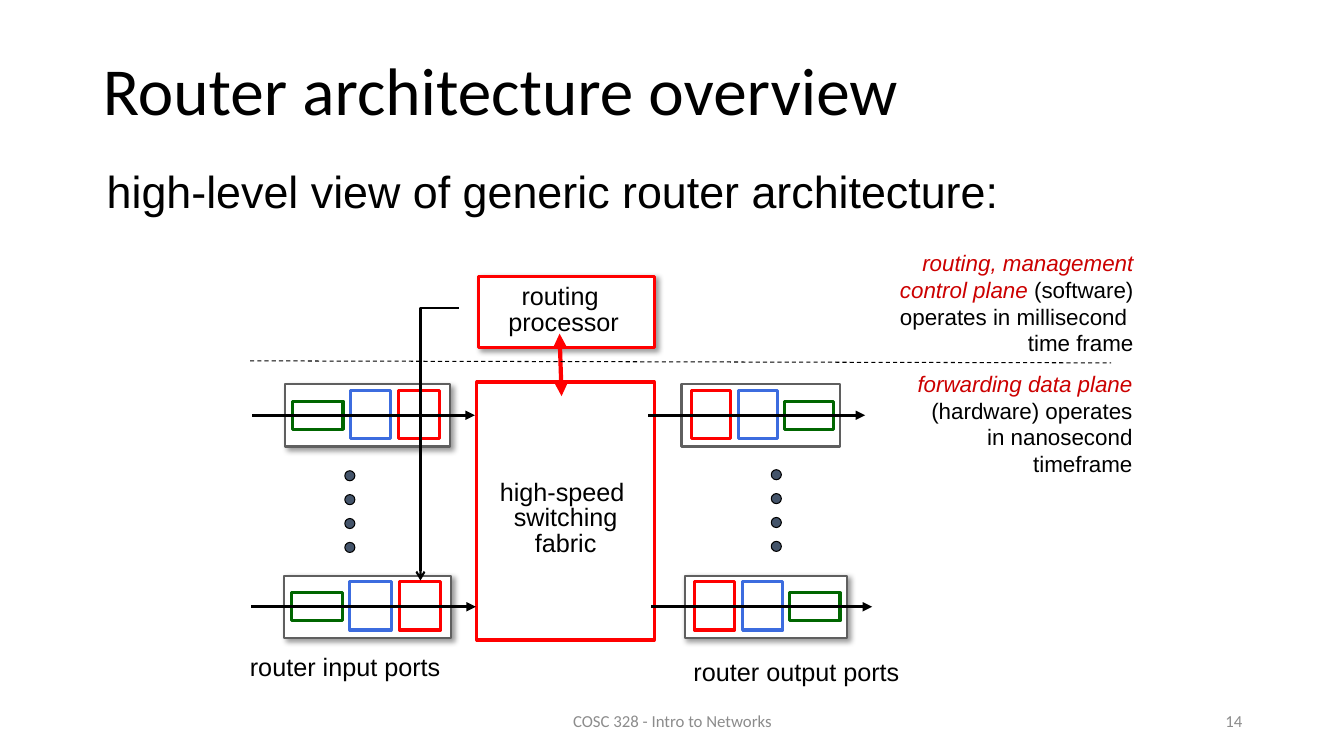
"""Build the router architecture slide."""
import dataclasses

import lxml.etree
import pptx
import pptx.dml.color
import pptx.enum.dml
import pptx.enum.shapes
import pptx.enum.text
import pptx.oxml
import pptx.oxml.ns
import pptx.util

Inches = pptx.util.Inches
Pt = pptx.util.Pt
qn = pptx.oxml.ns.qn
KIND = pptx.enum.shapes.MSO_SHAPE
LINK = pptx.enum.shapes.MSO_CONNECTOR
ALIGN = pptx.enum.text.PP_ALIGN
MIDDLE = pptx.enum.text.MSO_ANCHOR.MIDDLE


@dataclasses.dataclass(frozen=True)
class Theme:
    """Hold the fonts, colours and type sizes."""
    head: str = "Calibri"
    main: str = "Arial"
    black: str = "000000"
    white: str = "FFFFFF"
    red: str = "FF0000"
    accent: str = "CC0000"
    blue: str = "3C6CDF"
    green: str = "006600"
    frame: str = "5F5F5F"
    dot: str = "44546A"
    gray: str = "8C8C8C"
    title: int = 48
    lead: int = 32
    label: int = 18
    note: int = 16
    foot: int = 12


THEME = Theme()


def tint(code):
    """Turn a hex code into a colour."""
    return pptx.dml.color.RGBColor.from_string(code)


def write(frame, lines, size, align=ALIGN.LEFT, space=None, font=THEME.main):
    """Fill a frame with lines, each a list of (text, colour, italic) runs."""
    for i, runs in enumerate(lines):
        para = frame.paragraphs[0] if i == 0 else frame.add_paragraph()
        para.alignment = align
        para.space_before = Pt(0)
        if space:
            para.line_spacing = space
        for text, color, slant in runs:
            run = para.add_run()
            run.text = text
            run.font.name = font
            run.font.size = Pt(size)
            run.font.italic = slant
            run.font.color.rgb = tint(color)


def plain(*texts, color=THEME.black):
    """Make one upright run per line."""
    return [[(text, color, False)] for text in texts]


def label(slide, spot, lines, size, wrap=True, anchor=None, **style):
    """Add a text box."""
    box = slide.shapes.add_textbox(*map(Inches, spot))
    box.text_frame.word_wrap = wrap
    if anchor is not None:
        box.text_frame.vertical_anchor = anchor
    write(box.text_frame, lines, size, **style)


def shade(shape):
    """Give a shape a soft drop shadow."""
    fx = shape._element.spPr.find(qn("a:effectLst"))
    drop = lxml.etree.SubElement(
        fx, qn("a:outerShdw"), blurRad=str(Pt(4)), dist=str(Pt(3)),
        dir="2700000", algn="tl", rotWithShape="0")
    hue = lxml.etree.SubElement(drop, qn("a:srgbClr"), val=THEME.black)
    lxml.etree.SubElement(hue, qn("a:alpha"), val="40000")


def block(slide, spot, line, width, fill=THEME.white, kind=KIND.RECTANGLE, shadow=False):
    """Add a filled and outlined shape."""
    shape = slide.shapes.add_shape(kind, *map(Inches, spot))
    shape.shadow.inherit = False
    shape.fill.solid()
    shape.fill.fore_color.rgb = tint(fill)
    shape.line.color.rgb = tint(line)
    shape.line.width = Pt(width)
    if shadow:
        shade(shape)
    return shape


def wire(slide, ends, width, color=THEME.black, head=None, tail=None, kind=LINK.STRAIGHT):
    """Add a line with optional arrowheads."""
    link = slide.shapes.add_connector(kind, *map(Inches, ends))
    link.line.color.rgb = tint(color)
    link.line.width = Pt(width)
    stroke = link.line._get_or_add_ln()
    for tag, form in (("a:headEnd", head), ("a:tailEnd", tail)):
        if form:
            lxml.etree.SubElement(stroke, qn(tag), type=form)
    lxml.etree.SubElement(link._element.spPr, qn("a:effectLst"))
    return link


def elbow(slide):
    """Lead from the processor down to an input port."""
    link = wire(slide, (3.01, 4.22, 5.71, 4.6), 1.5, tail="arrow", kind=LINK.ELBOW)
    props = link._element.spPr
    props.find(qn("a:xfrm")).set("rot", "5400000")
    guides = props.find(qn("a:prstGeom")).find(qn("a:avLst"))
    lxml.etree.SubElement(guides, qn("a:gd"), name="adj1", fmla="val -1")


def port(slide, left, top, width, flip=False, shadow=True):
    """Draw a port with three stages and its through arrow."""
    block(slide, (left, top, width, 0.62), THEME.frame, 1.5, shadow=shadow)
    scale = width / 1.65
    stages = ((0.07, 0.17, 0.51, 0.28, THEME.green),
              (0.65, 0.06, 0.41, 0.48, THEME.blue),
              (1.14, 0.06, 0.41, 0.48, THEME.red))
    for x, y, wide, high, color in stages:
        shift = 1.65 - x - wide if flip else x
        block(slide, (left + shift * scale, top + y, wide * scale, high), color, 2.25)
    mid = top + 0.31
    wire(slide, (left - 0.33, mid, left + width + 0.25, mid), 2.25, tail="triangle")


def dots(slide, left, top):
    """Draw a column of four dots."""
    for i in range(4):
        block(slide, (left, top + i * 0.237, 0.1, 0.1), THEME.black, 0.75,
              THEME.dot, KIND.OVAL)


def core(slide):
    """Draw the switching fabric and the routing processor."""
    style = dict(size=THEME.label, wrap=False, align=ALIGN.CENTER, space=0.85)
    block(slide, (4.73, 3.79, 1.76, 2.56), THEME.red, 2.25)
    label(slide, (4.85, 4.72, 1.52, 0.87),
          plain("high-speed ", "switching", "fabric"), **style)
    block(slide, (4.75, 2.74, 1.74, 0.71), THEME.red, 2.25, shadow=True)
    label(slide, (4.94, 2.78, 1.3, 0.61), plain("routing ", "processor"), **style)
    wire(slide, (5.55, 3.31, 5.57, 3.93), 3, THEME.red, "triangle", "triangle")


def planes(slide):
    """Draw the plane divider and its two notes."""
    rule = wire(slide, (2.48, 3.58, 11.02, 3.6), 0.75)
    rule.line.dash_style = pptx.enum.dml.MSO_LINE.DASH
    data = [[("forwarding data plane ", THEME.accent, True),
             ("(hardware) operates in nanosecond timeframe", THEME.black, False)]]
    control = [[("routing, management", THEME.accent, True)],
               [("control plane ", THEME.accent, True), ("(software)", THEME.black, False)],
               *plain("operates in millisecond ", "time frame")]
    label(slide, (8.94, 3.62, 2.39, 1.18), data, THEME.note, align=ALIGN.RIGHT)
    label(slide, (8.19, 2.42, 3.15, 1.18), control, THEME.note, align=ALIGN.RIGHT)


def header(slide):
    """Fill the title and the lead line."""
    title = slide.shapes.title
    title.left, title.top, title.width, title.height = map(Inches, (0.92, 0.44, 11.5, 0.98))
    title.text_frame.vertical_anchor = MIDDLE
    write(title.text_frame, plain("Router architecture overview"), THEME.title,
          space=0.9, font=THEME.head)
    label(slide, (0.96, 1.58, 11.8, 0.64),
          plain("high-level view of generic router architecture:"), THEME.lead)


def footer(slide):
    """Add the course name and the page number."""
    for spot, text, align in (((4.42, 6.95, 4.5, 0.4), "COSC 328 - Intro to Networks", ALIGN.CENTER),
                              ((9.42, 6.95, 3, 0.4), "14", ALIGN.RIGHT)):
        label(slide, spot, plain(text, color=THEME.gray), THEME.foot,
              anchor=MIDDLE, align=align, font=THEME.head)


def main():
    """Build and save the deck."""
    deck = pptx.Presentation()
    deck.slide_width, deck.slide_height = Inches(13.33), Inches(7.5)
    slide = deck.slides.add_slide(deck.slide_layouts[5])
    header(slide)
    core(slide)
    port(slide, 2.83, 3.81, 1.63)
    port(slide, 2.82, 5.71, 1.65)
    dots(slide, 3.42, 4.67)
    label(slide, (2.38, 6.41, 2.09, 0.4), plain("router input ports"), THEME.label, wrap=False)
    port(slide, 6.76, 3.81, 1.57, flip=True, shadow=False)
    port(slide, 6.79, 5.71, 1.61, flip=True)
    dots(slide, 7.65, 4.66)
    label(slide, (6.78, 6.46, 2.24, 0.4), plain("router output ports"), THEME.label, wrap=False)
    planes(slide)
    elbow(slide)
    footer(slide)
    deck.save("out.pptx")


if __name__ == "__main__":
    main()
